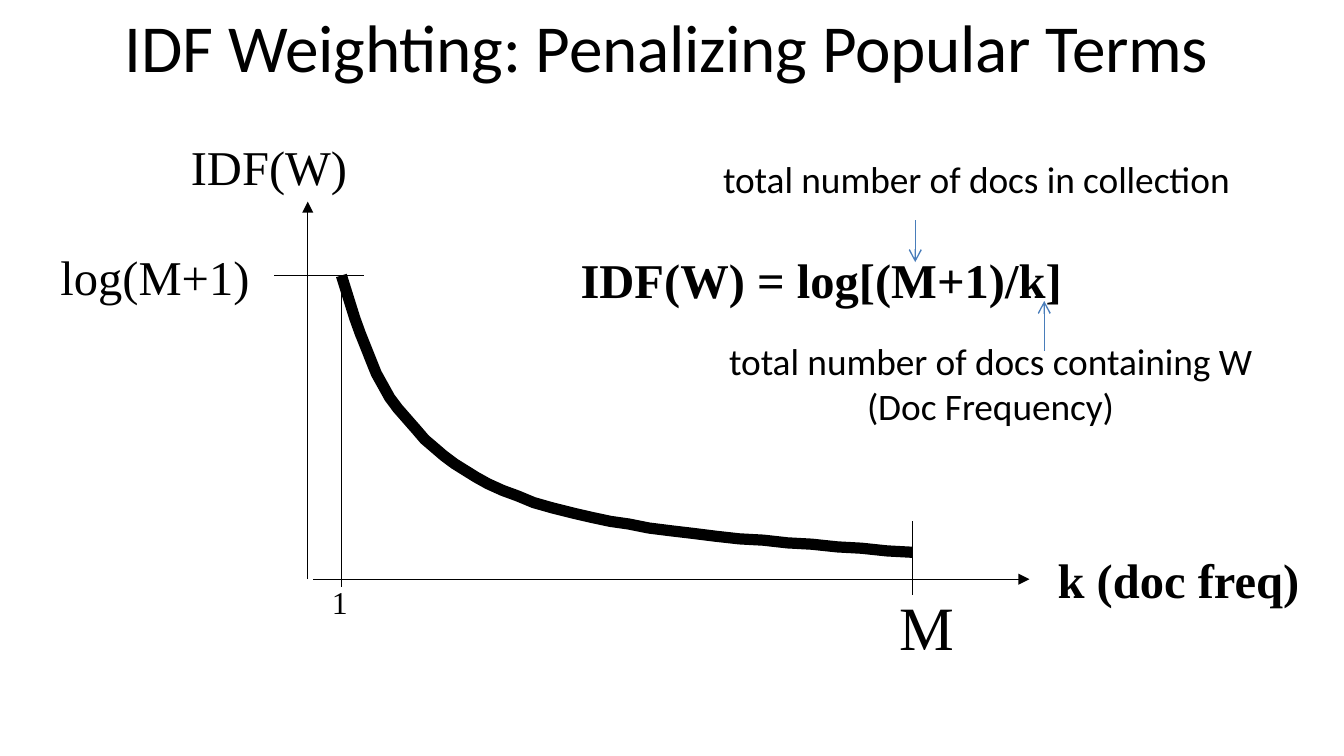
from pptx import Presentation
from pptx.dml.color import RGBColor
from pptx.enum.shapes import MSO_CONNECTOR
from pptx.enum.text import MSO_ANCHOR, MSO_AUTO_SIZE, PP_ALIGN
from pptx.oxml.ns import qn
from pptx.util import Inches, Pt
from lxml.etree import SubElement

SERIF, SANS = "Times New Roman", "Calibri"
BLACK, BLUE = "000000", "497DBA"
CURVE = [
    (0, 0), (0.05, 0.16), (0.1, 0.32), (0.14, 0.43), (0.18, 0.53), (0.22, 0.63),
    (0.26, 0.73), (0.31, 0.82), (0.36, 0.91), (0.42, 0.99), (0.49, 1.07),
    (0.56, 1.15), (0.62, 1.22), (0.69, 1.28), (0.76, 1.34), (0.84, 1.4),
    (0.92, 1.45), (1, 1.5), (1.09, 1.55), (1.2, 1.6), (1.31, 1.64), (1.43, 1.69),
    (1.57, 1.73), (1.73, 1.77), (1.86, 1.8), (2, 1.83), (2.14, 1.85),
    (2.29, 1.88), (2.45, 1.9), (2.62, 1.92), (2.78, 1.94), (2.96, 1.96),
    (3.14, 1.97), (3.32, 1.99), (3.5, 2), (3.69, 2.02), (3.87, 2.03),
    (4.06, 2.05), (4.25, 2.06),
]


def rgb(color):
    """Turn a hex string into a colour."""
    return RGBColor.from_string(color)


def write(tf, text, font=SERIF, size=26, bold=False, align=PP_ALIGN.LEFT, before=1,
          indent=0.01, spacing=0):
    """Fill the frame with text, or add it as a paragraph when the frame already has some."""
    p = tf.add_paragraph() if tf.text else tf.paragraphs[0]
    p.alignment, p.space_before = align, Pt(before)
    pPr = p._p.get_or_add_pPr()
    pPr.set("marL", str(Inches(indent)))
    pPr.set("indent", "0")
    r = p.add_run()
    r.text = text
    r.font.name, r.font.size, r.font.bold = font, Pt(size), bold
    r.font.color.rgb = rgb(BLACK)
    r._r.get_or_add_rPr().set("spc", str(round(spacing * 100)))


def set_frame(tf):
    """Give a text frame its tight margins, wrapping and top anchor."""
    tf.margin_left = tf.margin_right = tf.margin_bottom = 0
    tf.margin_top = Inches(0.01)
    tf.word_wrap, tf.auto_size = True, MSO_AUTO_SIZE.NONE
    tf.vertical_anchor = MSO_ANCHOR.TOP


def add_text(s, x, y, w, h, text, **fmt):
    """Add a text box and return its frame."""
    tf = s.shapes.add_textbox(Inches(x), Inches(y), Inches(w), Inches(h)).text_frame
    set_frame(tf)
    write(tf, text, **fmt)
    return tf


def add_line(s, x1, y1, x2, y2, color=BLACK, head=None):
    """Add a straight line, with an arrowhead at its end if one is named."""
    c = s.shapes.add_connector(MSO_CONNECTOR.STRAIGHT, *map(Inches, (x1, y1, x2, y2)))
    c.line.width, c.line.color.rgb = Pt(0.75), rgb(color)
    if head:
        SubElement(c.line._get_or_add_ln(), qn("a:tailEnd"), type=head)
    SubElement(c._element.spPr, qn("a:effectLst"))


def add_curve(s, x, y):
    """Add the thick falling curve that starts at the given point."""
    points = [(Inches(x + dx), Inches(y + dy)) for dx, dy in CURVE]
    fb = s.shapes.build_freeform(*points[0])
    fb.add_line_segments(points[1:], close=False)
    sp = fb.convert_to_shape()
    sp.shadow.inherit = False
    sp.fill.background()
    sp.line.width, sp.line.color.rgb = Pt(6), rgb(BLACK)


def add_title(s, x, y, w, h):
    """Place and format the slide title."""
    sp = s.shapes.title
    sp.left, sp.top, sp.width, sp.height = map(Inches, (x, y, w, h))
    set_frame(sp.text_frame)
    write(sp.text_frame, "IDF Weighting: Penalizing Popular Terms", font=SANS, size=36,
          spacing=-0.15)


def add_plot(s, x, y, w, h):
    """Draw the IDF curve with its axes, ticks and labels."""
    axis_x, axis_y = x + 1.85, y + 3.3
    first_x, last_x, peak_y = x + 2.1, x + 6.35, y + 1.04
    add_line(s, axis_x + 0.04, axis_y, x + 7.22, axis_y, head="triangle")
    add_line(s, axis_x, axis_y, axis_x, y + 0.49, head="triangle")
    add_curve(s, first_x, peak_y)
    add_line(s, last_x, axis_y - 0.43, last_x, axis_y + 0.12)
    add_line(s, first_x, peak_y, first_x, axis_y + 0.06)
    add_line(s, axis_x - 0.25, peak_y, axis_x + 0.42, peak_y)
    add_text(s, x + 0.97, y, 1.19, 0.46, "IDF(W)")
    add_text(s, x, peak_y - 0.22, 1.44, 0.46, "log(M+1)")
    add_text(s, x + w - 1.83, axis_y - 0.23, 1.83, 0.46, "k (doc freq)", bold=True)
    add_text(s, first_x - 0.08, axis_y + 0.02, 0.15, 0.31, "1", size=17)
    add_text(s, last_x - 0.11, y + h - 0.58, 0.44, 0.58, "M", size=33)


def add_formula(s, x, y, w, h):
    """Write the formula with the notes that explain M and k."""
    note = dict(font=SANS, size=20, spacing=-0.05)
    add_text(s, x + 1.06, y, 3.82, 0.36, "total number of docs in collection", **note)
    tf = add_text(s, x, y + 0.7, w, h - 0.7, "IDF(W) = log[(M+1)/k]", bold=True)
    note.update(align=PP_ALIGN.CENTER, indent=1.09)
    write(tf, "total number of docs containing W", before=16.1, **note)
    write(tf, "(Doc Frequency)", before=0, **note)
    add_line(s, x + 2.5, y + 0.49, x + 2.5, y + 0.8, BLUE, "arrow")
    add_line(s, x + 3.46, y + 1.46, x + 3.46, y + 1.09, BLUE, "arrow")


def main():
    """Build the slide and save it."""
    prs = Presentation()
    prs.slide_width = Inches(10)
    prs.slide_height = prs.slide_width * 9 // 16
    s = prs.slides.add_slide(prs.slide_layouts[5])
    add_title(s, 0.92, 0.03, 8.16, 0.63)
    add_plot(s, 0.44, 1.01, 9.25, 3.94)
    add_formula(s, 4.31, 1.15, 5.03, 2.05)
    prs.save("out.pptx")


if __name__ == "__main__":
    main()
